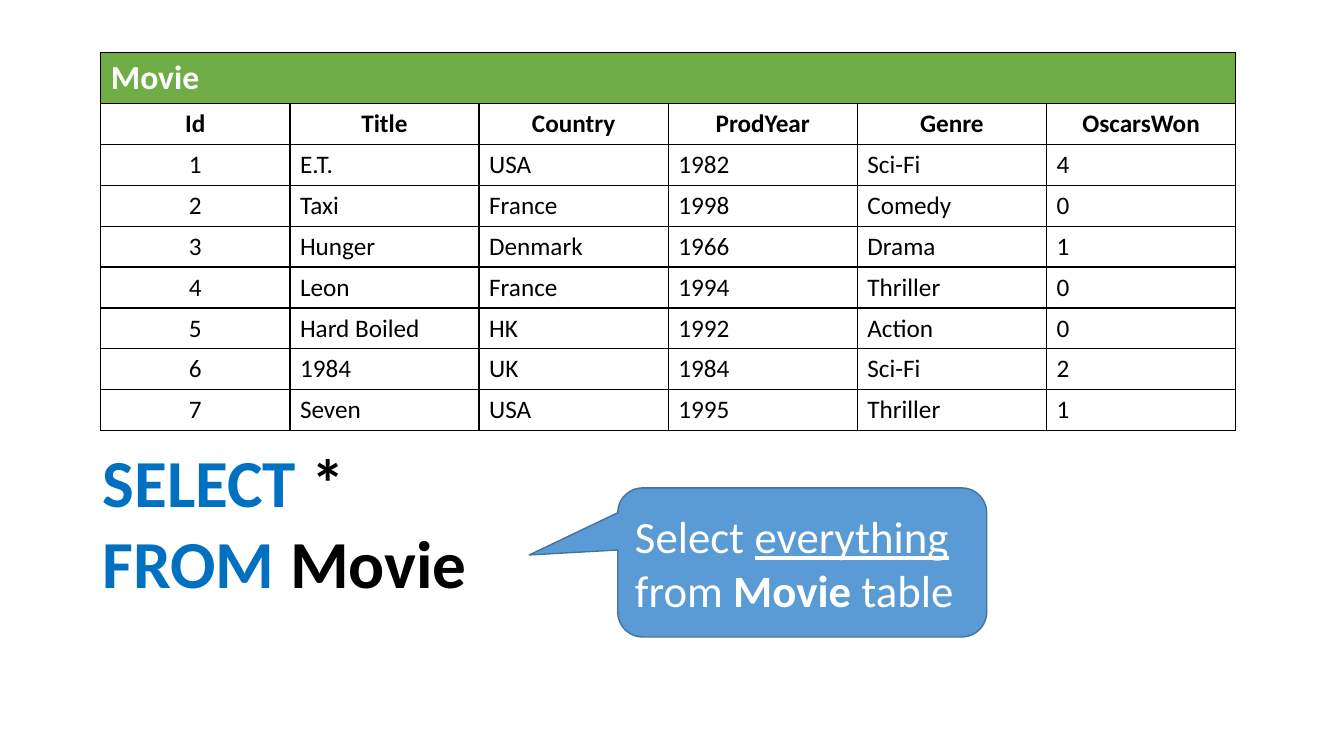
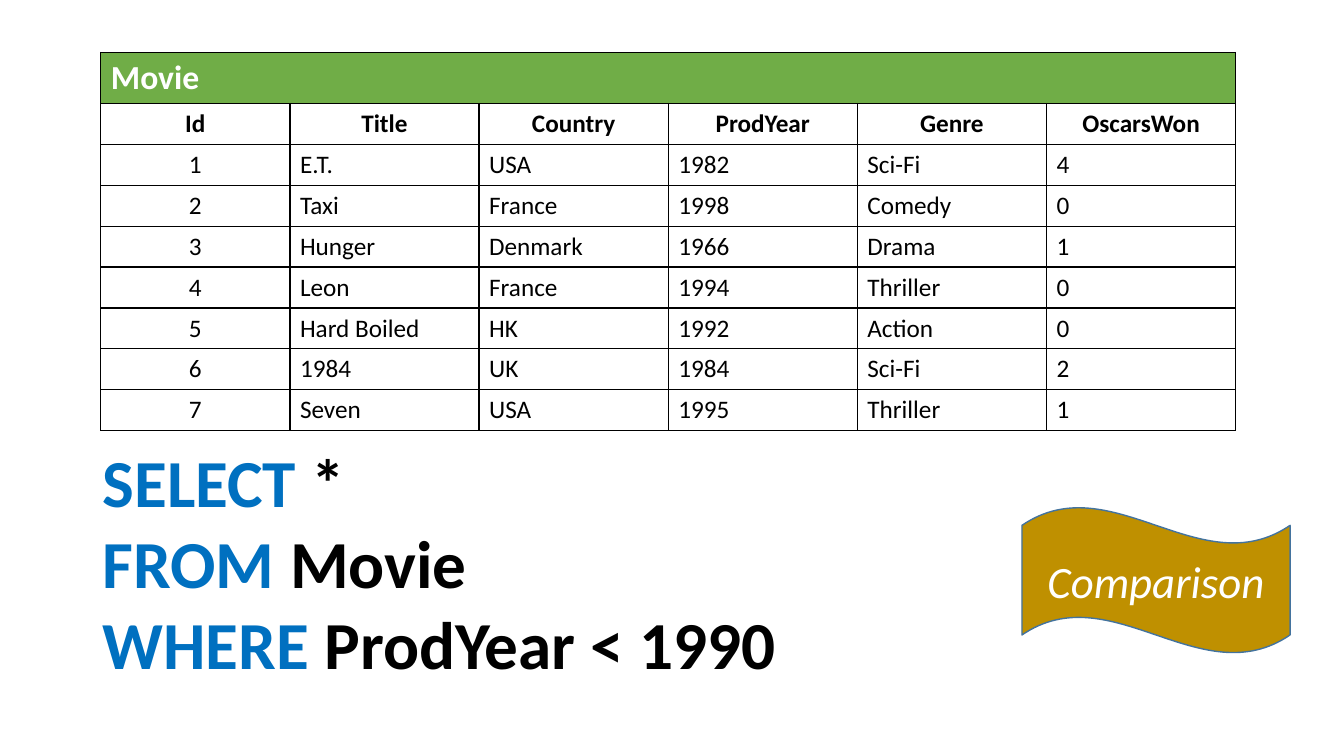
from pptx import Presentation
from pptx.dml.color import RGBColor
from pptx.enum.shapes import MSO_SHAPE
from pptx.enum.text import MSO_ANCHOR, PP_ALIGN
from pptx.oxml import parse_xml
from pptx.oxml.ns import nsdecls
from pptx.util import Pt

CALLOUT, WAVE = MSO_SHAPE.ROUNDED_RECTANGULAR_CALLOUT, MSO_SHAPE.WAVE
LEFT, CENTER = PP_ALIGN.LEFT, PP_ALIGN.CENTER
MIDDLE = MSO_ANCHOR.MIDDLE

FONT = "Calibri"
COLORS = {
    "keyword": "0070C0",
    "text": "000000",
    "white": "FFFFFF",
    "header": "70AD47",
    "callout": "5B9BD5",
    "wave": "BF9000",
    "outline": "43739E",
}
BLANK_LAYOUT = 6

HEADINGS = ("Id", "Title", "Country", "ProdYear", "Genre", "OscarsWon")
MOVIES = (
    ("1", "E.T.", "USA", "1982", "Sci-Fi", "4"),
    ("2", "Taxi", "France", "1998", "Comedy", "0"),
    ("3", "Hunger", "Denmark", "1966", "Drama", "1"),
    ("4", "Leon", "France", "1994", "Thriller", "0"),
    ("5", "Hard Boiled", "HK", "1992", "Action", "0"),
    ("6", "1984", "UK", "1984", "Sci-Fi", "2"),
    ("7", "Seven", "USA", "1995", "Thriller", "1"),
)
TABLE_LEFT, TABLE_TOP = 72, 37.5
COLUMN_WIDTH = 135.1
HEADER_HEIGHT, ROW_HEIGHT = 36.5, 29.2


def rgb(name):
    return RGBColor.from_string(COLORS[name])


def add_run(p, text, size, color, **style):
    """Add a run; style holds font attributes such as bold or italic."""
    r = p.add_run()
    r.text = text
    r.font.name = FONT
    r.font.size = Pt(size)
    r.font.color.rgb = rgb(color)
    for name, value in style.items():
        setattr(r.font, name, value)


def add_borders(cell):
    tc_pr = cell._tc.get_or_add_tcPr()
    for side in ("lnL", "lnR", "lnT", "lnB"):
        tc_pr.append(parse_xml(
            f'<a:{side} {nsdecls("a")} w="{Pt(1)}"><a:solidFill>'
            f'<a:srgbClr val="{COLORS["text"]}"/></a:solidFill></a:{side}>'))


def fill_cell(cell, text, size, color, fill, bold, align):
    cell.fill.solid()
    cell.fill.fore_color.rgb = rgb(fill)
    p = cell.text_frame.paragraphs[0]
    p.alignment = align
    add_run(p, text, size, color, bold=bold)


def add_movie_table(s):
    n_rows, n_cols = len(MOVIES) + 2, len(HEADINGS)
    height = HEADER_HEIGHT + (n_rows - 1) * ROW_HEIGHT
    table = s.shapes.add_table(
        n_rows, n_cols, Pt(TABLE_LEFT), Pt(TABLE_TOP),
        Pt(n_cols * COLUMN_WIDTH), Pt(height)).table
    table.horz_banding = False
    for column in table.columns:
        column.width = Pt(COLUMN_WIDTH)
    for i, row in enumerate(table.rows):
        row.height = Pt(ROW_HEIGHT if i else HEADER_HEIGHT)
    for cell in table.iter_cells():
        add_borders(cell)

    name_cell = table.cell(0, 0)
    name_cell.merge(table.cell(0, n_cols - 1))
    fill_cell(name_cell, "Movie", 24, "white", "header", True, LEFT)
    for i, values in enumerate((HEADINGS, *MOVIES), start=1):
        is_heading = i == 1
        for j, value in enumerate(values):
            align = CENTER if is_heading or j == 0 else LEFT
            fill_cell(table.cell(i, j), value, 18, "text", "white", is_heading, align)


def add_query(s, clauses):
    """Write one line per clause, given as (keyword, rest)."""
    tf = s.shapes.add_textbox(Pt(66.25), Pt(317.5), Pt(828), Pt(209.5)).text_frame
    tf.word_wrap = True
    for i, (keyword, rest) in enumerate(clauses):
        p = tf.add_paragraph() if i else tf.paragraphs[0]
        p.line_spacing = 0.9
        p.space_before = Pt(6 if i else 0)
        add_run(p, keyword, 48, "keyword", bold=True)
        add_run(p, f" {rest}", 48, "text", bold=True)


def add_note(s, kind, box, fill, runs, align):
    """Add a filled shape with text runs given as (text, style)."""
    sp = s.shapes.add_shape(kind, *map(Pt, box))
    sp.shadow.inherit = False
    sp.fill.solid()
    sp.fill.fore_color.rgb = rgb(fill)
    sp.line.color.rgb = rgb("outline")
    sp.line.width = Pt(1)
    tf = sp.text_frame
    tf.word_wrap = True
    tf.vertical_anchor = MIDDLE
    p = tf.paragraphs[0]
    p.alignment = align
    for text, style in runs:
        add_run(p, text, 32, "white", **style)
    return sp


def add_query_slide(prs, clauses):
    s = prs.slides.add_slide(prs.slide_layouts[BLANK_LAYOUT])
    add_query(s, clauses)
    add_movie_table(s)
    return s


def main():
    prs = Presentation()
    prs.slide_width, prs.slide_height = Pt(960), Pt(540)
    select_all = [("SELECT", "*"), ("FROM", "Movie")]

    s = add_query_slide(prs, select_all)
    runs = [("Select ", {}), ("everything", {"underline": True}), (" from ", {}),
            ("Movie", {"bold": True}), (" table", {})]
    callout = add_note(s, CALLOUT, (441.3, 348.5, 263.5, 106.5), "callout", runs, LEFT)
    callout.adjustments[0] = -0.74
    callout.adjustments[1] = -0.05

    s = add_query_slide(prs, select_all + [("WHERE", "ProdYear < 1990")])
    add_note(s, WAVE, (730, 362.2, 191.5, 104.4), "wave",
             [("Comparison", {"italic": True})], CENTER)

    prs.save("out.pptx")


if __name__ == "__main__":
    main()
